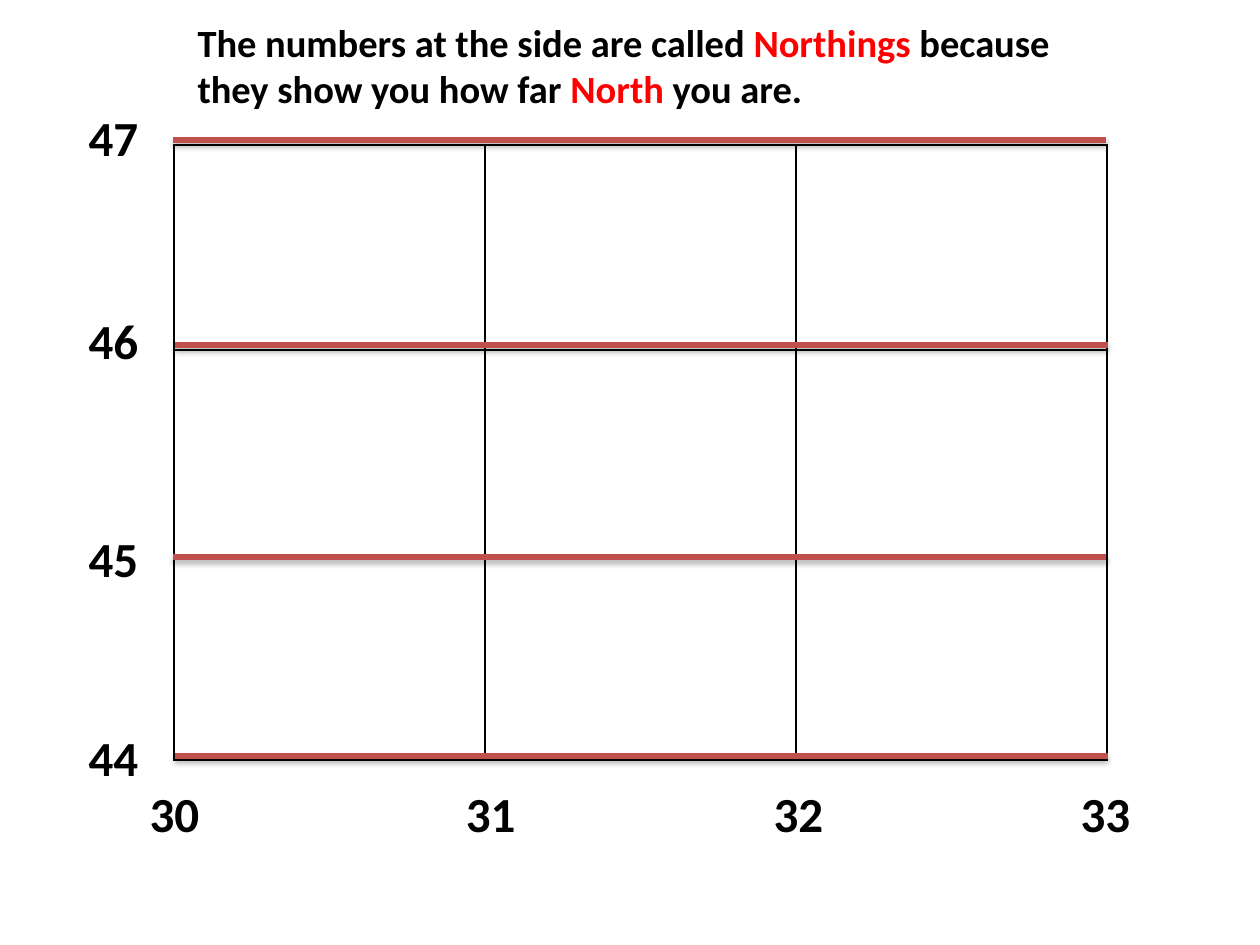
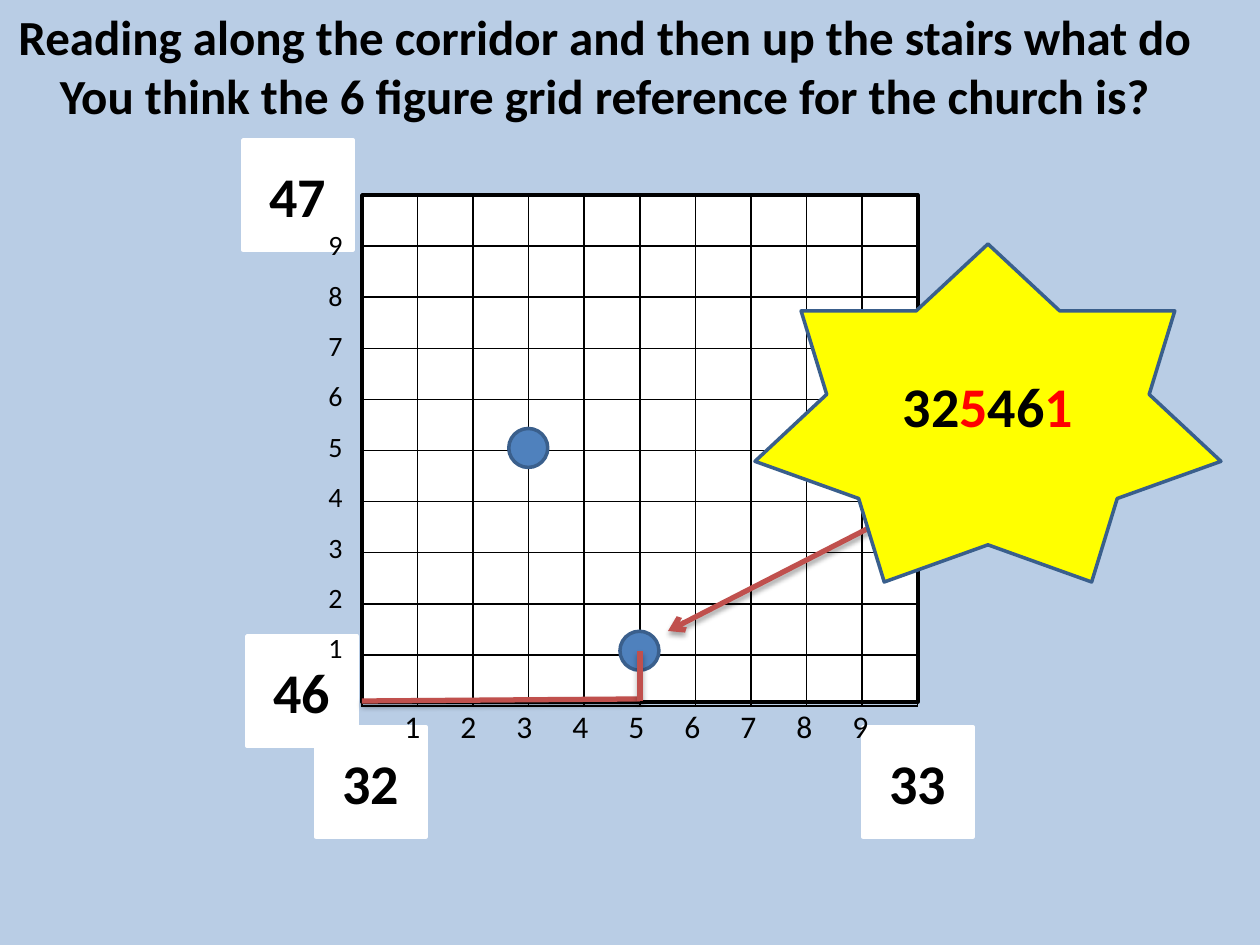
from dataclasses import dataclass

from lxml import etree
from pptx import Presentation, util as u
from pptx.dml.color import RGBColor
from pptx.enum import shapes, text
from pptx.oxml.ns import qn

EMU_PER_PX = u.Inches(1) / 126
TITLE_ONLY = 5


@dataclass(frozen=True)
class Theme:
    font: str = "Calibri"
    ink: str = "000000"
    accent: str = "FF0000"
    paper: str = "FFFFFF"
    sky: str = "B9CDE5"
    route: str = "C0504D"
    dot: str = "4F81BD"
    outline: str = "3A5F8C"
    star: str = "FFFF00"
    lead_size: int = 22
    label_size: int = 28
    corner_size: int = 32
    across_size: int = 18
    up_size: int = 16
    hairline: int = 1
    edge: int = 2
    stroke: int = 3


THEME = Theme()


@dataclass(frozen=True)
class Box:
    left: float
    top: float
    width: float
    height: float

    def inner(self, left, top, width, height):
        return Box(self.left + left, self.top + top, width, height)

    def point(self, x, y):
        return self.left + x, self.top + y

    def emu(self):
        return [px(v) for v in (self.left, self.top, self.width, self.height)]


def px(value):
    return u.Emu(round(value * EMU_PER_PX))


def rgb(value):
    return RGBColor.from_string(value)


def add_xml(parent, tag, **attributes):
    return etree.SubElement(parent, qn(tag), {k: str(v) for k, v in attributes.items()})


def write(shape, paragraphs, size, bold=True, align=text.PP_ALIGN.CENTER,
          anchor=text.MSO_ANCHOR.TOP, wrap=True, spacing=None, tabs=()):
    frame = shape.text_frame
    frame.word_wrap = wrap
    frame.auto_size = text.MSO_AUTO_SIZE.NONE
    frame.vertical_anchor = anchor
    for index, spans in enumerate(paragraphs):
        para = frame.add_paragraph() if index else frame.paragraphs[0]
        para.alignment = align
        if spacing:
            para.line_spacing = spacing
        if tabs:
            stops = add_xml(para._p.get_or_add_pPr(), "a:tabLst")
            for stop in tabs:
                add_xml(stops, "a:tab", pos=px(stop), algn="ctr")
        for words, color in spans:
            span = para.add_run()
            span.text = words
            span.font.name = THEME.font
            span.font.size = u.Pt(size)
            span.font.bold = bold
            span.font.color.rgb = rgb(color)


def plain(*lines):
    return [[(line, THEME.ink)] for line in lines]


def add_label(page, box, paragraphs, size, **style):
    write(page.shapes.add_textbox(*box.emu()), paragraphs, size, **style)


def add_figure(page, kind, box, fill, line):
    figure = page.shapes.add_shape(kind, *box.emu())
    figure.shadow.inherit = False
    figure.fill.solid()
    figure.fill.fore_color.rgb = rgb(fill)
    figure.line.color.rgb = rgb(line)
    figure.line.width = u.Pt(THEME.edge)
    return figure


def add_stroke(page, start, end, arrow=False):
    ends = [px(v) for v in (*start, *end)]
    stroke = page.shapes.add_connector(shapes.MSO_CONNECTOR.STRAIGHT, *ends)
    stroke.line.color.rgb = rgb(THEME.route)
    stroke.line.width = u.Pt(THEME.stroke)
    properties = stroke._element.spPr
    if arrow:
        add_xml(properties.find(qn("a:ln")), "a:tailEnd", type="arrow")
    effects = add_xml(properties, "a:effectLst")
    shadow = add_xml(effects, "a:outerShdw", blurRad=u.Pt(3.1), dist=u.Pt(1.8),
                     dir=5400000, rotWithShape=0)
    add_xml(add_xml(shadow, "a:srgbClr", val=THEME.ink), "a:alpha", val=35000)


def add_grid(page, box, count):
    table = page.shapes.add_table(count, count, *box.emu()).table
    table.first_row = table.horz_banding = False
    for column in table.columns:
        column.width = px(box.width / count)
    for row in table.rows:
        row.height = px(box.height / count)
    for cell in table.iter_cells():
        properties = cell._tc.get_or_add_tcPr()
        for side in ("a:lnL", "a:lnR", "a:lnT", "a:lnB"):
            border = add_xml(properties, side, w=u.Pt(THEME.hairline))
            add_xml(add_xml(border, "a:solidFill"), "a:srgbClr", val=THEME.ink)
        cell.fill.background()


def add_page(deck, color, box, paragraphs, size, **style):
    page = deck.slides.add_slide(deck.slide_layouts[TITLE_ONLY])
    page.background.fill.solid()
    page.background.fill.fore_color.rgb = rgb(color)
    title = page.shapes.title
    title.left, title.top, title.width, title.height = box.emu()
    write(title, paragraphs, size, **style)
    return page


def draw_northings(page, box):
    add_grid(page, box, 3)
    northings = [("47", -44, -1, -5), ("46", 159, 1, 200),
                 ("45", 377, -1, 412), ("44", 576, 1, 611)]
    eastings = [("30", -39), ("31", 277), ("32", 585), ("33", 892)]
    for number, top, _, _ in northings:
        add_label(page, box.inner(-100, top, 79, 72), plain(number), THEME.label_size)
    for number, left in eastings:
        add_label(page, box.inner(left, 632, 79, 72), plain(number), THEME.label_size)
    for _, _, left, y in northings:
        add_stroke(page, box.point(left, y), box.point(left + box.width, y))


def draw_square(page, box):
    add_figure(page, shapes.MSO_SHAPE.RECTANGLE, box, THEME.paper, THEME.ink)
    corners = [("46", -115, 441), ("33", 501, 532), ("47", -119, -55), ("32", -46, 532)]
    for number, left, top in corners:
        corner = add_figure(page, shapes.MSO_SHAPE.RECTANGLE,
                            box.inner(left, top, 110, 110), THEME.paper, THEME.paper)
        write(corner, plain(number), THEME.corner_size, anchor=text.MSO_ANCHOR.MIDDLE)
    add_grid(page, box.inner(0, 0, box.width, 504), 10)

    across = "".join(f"\t{tenth}" for tenth in range(1, 10))
    add_label(page, box.inner(-19, 506, 610, 50), plain(across), THEME.across_size,
              bold=False, align=text.PP_ALIGN.LEFT,
              tabs=[57 + 56 * step for step in range(9)])
    add_label(page, box.inner(-46, 10, 40, 465), plain(*map(str, range(9, 0, -1))),
              THEME.up_size, bold=False, align=text.PP_ALIGN.LEFT, spacing=1.5)


def draw_church(page, box):
    def tenths(east, north):
        return box.width * east / 10, box.height * (10 - north) / 10

    for x, y in (tenths(3, 5), tenths(5, 1)):
        add_figure(page, shapes.MSO_SHAPE.OVAL, box.inner(x - 20, y - 20, 39, 39),
                   THEME.dot, THEME.outline)
    add_stroke(page, box.point(706, 231), box.point(306, 436), arrow=True)
    church_x, church_y = tenths(5, 1)
    add_stroke(page, box.point(0, 506), box.point(church_x, 504))
    add_stroke(page, box.point(church_x, 506), box.point(church_x, church_y))

    star = add_figure(page, shapes.MSO_SHAPE.STAR_7_POINT, box.inner(393, 49, 466, 338),
                      THEME.star, THEME.outline)
    answer = [("32", THEME.ink), ("5", THEME.accent), ("46", THEME.ink), ("1", THEME.accent)]
    write(star, [answer], THEME.corner_size, anchor=text.MSO_ANCHOR.MIDDLE)


def build_northings(deck):
    lead = [("The numbers at the side are called ", THEME.ink), ("Northings ", THEME.accent),
            ("because they show you how far ", THEME.ink), ("North ", THEME.accent),
            ("you are.", THEME.ink)]
    page = add_page(deck, THEME.paper, Box(185, 13, 922, 106), [lead],
                    THEME.lead_size, align=text.PP_ALIGN.LEFT)
    draw_northings(page, Box(174, 145, 933, 615))


def build_church(deck):
    question = plain("Reading along the corridor and then up the stairs what do",
                     "You think the 6 figure grid reference for the church is?")
    page = add_page(deck, THEME.sky, Box(0, 0, 1209, 131), question,
                    THEME.label_size, wrap=False)
    square = Box(362, 195, 556, 507)
    draw_square(page, square)
    draw_church(page, square)


def main():
    deck = Presentation()
    deck.slide_width, deck.slide_height = px(1260), px(945)
    build_northings(deck)
    build_church(deck)
    deck.save("out.pptx")


if __name__ == "__main__":
    main()
